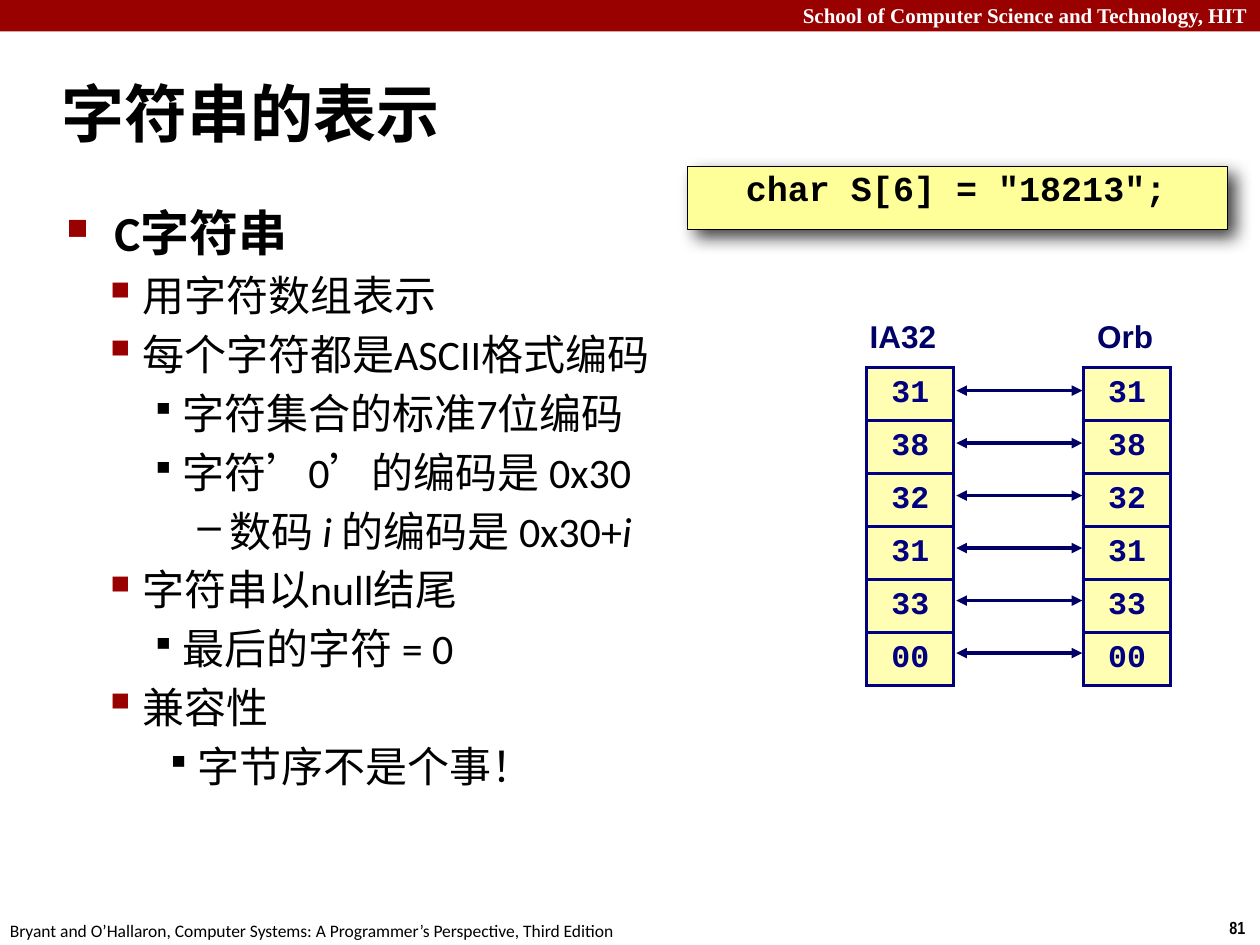
from lxml import etree
from pptx import Presentation
from pptx import util as u
from pptx.dml import color
from pptx.enum import shapes, text
from pptx.oxml import ns, parse_xml

RED, NAVY, CELL_NAVY = "990000", "000066", "000080"
HEADER = "School of Computer Science and Technology, HIT"
FOOTER = ("Bryant and O’Hallaron, Computer Systems: "
          "A Programmer’s Perspective, Third Edition")
# Outline level, then text runs; odd runs are italic
OUTLINE = [
    (0, ["C字符串"]),
    (1, ["用字符数组表示"]),
    (1, ["每个字符都是ASCII格式编码"]),
    (2, ["字符集合的标准7位编码"]),
    (2, ["字符’0’的编码是 0x30"]),
    (3, ["数码 ", "i ", "的编码是 0x30+", "i"]),
    (1, ["字符串以null结尾"]),
    (2, ["最后的字符 = 0"]),
    (1, ["兼容性"]),
    (4, ["字节序不是个事！"]),
]
# Left margin, hanging indent, bullet, bullet colour, bullet size %
LEVELS = [
    (0.38, -0.38, "■", RED, 60),
    (0.6, -0.31, "▪", RED, 110),
    (0.92, -0.25, "▪", "000000", 80),
    (1.29, -0.25, "–", "000000", 100),
    (1.04, -0.25, "▪", "000000", 80),
]
BYTES = ["31", "38", "32", "31", "33", "00"]
# Machine, label left, label width, table left
MACHINES = [("IA32", 6.84, 0.69, 6.88), ("Orb", 8.63, 0.64, 8.6)]
TABLE_TOP, CELL_WIDTH, ROW_HEIGHT = 2.92, 0.69, 2.5 / len(BYTES)
ALIGN = {"l": text.PP_ALIGN.LEFT, "c": text.PP_ALIGN.CENTER,
         "r": text.PP_ALIGN.RIGHT}


def rgb(value):
    return color.RGBColor.from_string(value)


def add_xml(parent, xml):
    parent.append(parse_xml(xml.replace(">", f" {ns.nsdecls('a')}>", 1)
                            if "/>" not in xml.split(">")[0] + ">"
                            else xml.replace("/>", f" {ns.nsdecls('a')}/>", 1)))


def write(para, words, size=18, font="Calibri", ink="000000", bold=False,
          italic=False, align="l", indent=None, before=None):
    para.alignment = ALIGN[align]
    if before is not None:
        para.space_before = u.Pt(before)
    if indent:
        props = para._p.get_or_add_pPr()
        props.set("marL", str(u.Inches(indent[0])))
        props.set("indent", str(u.Inches(indent[1])))
    span = para.add_run()
    span.text = words
    span.font.name, span.font.size = font, u.Pt(size)
    span.font.bold, span.font.italic = bold, italic
    span.font.color.rgb = rgb(ink)


def set_frame(frame, insets=(0.1, 0.05, 0.1, 0.05), wrap=True, middle=False):
    (frame.margin_left, frame.margin_top,
     frame.margin_right, frame.margin_bottom) = map(u.Inches, insets)
    frame.word_wrap = wrap
    frame.vertical_anchor = (text.MSO_ANCHOR.MIDDLE if middle
                             else text.MSO_ANCHOR.TOP)
    return frame


def add_text(place, words="", insets=(0.1, 0.05, 0.1, 0.05), wrap=True,
             middle=False, **style):
    box = page.shapes.add_textbox(*map(u.Inches, place))
    frame = set_frame(box.text_frame, insets, wrap, middle)
    if words:
        write(frame.paragraphs[0], words, **style)
    return frame


def add_box(place, fill):
    box = page.shapes.add_shape(shapes.MSO_SHAPE.RECTANGLE,
                                *map(u.Inches, place))
    box.shadow.inherit = False
    box.fill.solid()
    box.fill.fore_color.rgb = rgb(fill)
    box.line.fill.background()
    return box


def add_arrow(left, right, y):
    arrow = page.shapes.add_connector(
        shapes.MSO_CONNECTOR.STRAIGHT, *map(u.Inches, (left, y, right, y)))
    arrow.line.color.rgb, arrow.line.width = rgb(NAVY), u.Pt(2)
    for end in ("headEnd", "tailEnd"):
        add_xml(arrow.line._get_or_add_ln(), f'<a:{end} type="triangle"/>')
    etree.SubElement(arrow._element.spPr, ns.qn("a:effectLst"))


def add_byte_table(left):
    table = page.shapes.add_table(
        len(BYTES), 1, *map(u.Inches, (left, TABLE_TOP, CELL_WIDTH, 2.5))).table
    table.first_row = table.horz_banding = False
    for row, value in zip(table.rows, BYTES):
        row.height = u.Inches(ROW_HEIGHT)
        cell = row.cells[0]
        (cell.margin_left, cell.margin_top,
         cell.margin_right, cell.margin_bottom) = [u.Inches(0.06)] * 4
        cell.vertical_anchor = text.MSO_ANCHOR.MIDDLE
        write(cell.text_frame.paragraphs[0], value, font="Courier New",
              ink=CELL_NAVY, bold=True, align="c")
        # Borders come before the fill in the cell properties
        for side in "LRTB":
            add_xml(cell._tc.get_or_add_tcPr(),
                    f'<a:ln{side} w="{u.Pt(2)}"><a:solidFill><a:srgbClr '
                    f'val="{CELL_NAVY}"/></a:solidFill></a:ln{side}>')
        cell.fill.solid()
        cell.fill.fore_color.rgb = rgb("FFFEB2")


deck = Presentation()
deck.slide_width, deck.slide_height = u.Inches(10), u.Inches(7.5)
page = deck.slides.add_slide(deck.slide_layouts[6])

# Header band and footer
add_box((0, 0, 10, 0.25), RED)
add_text((0, -0.03, 10, 0.3), HEADER, size=12, font="Times New Roman",
         ink="FFFFFF", bold=True, align="r")
add_text((9.66, 7.23, 0.34, 0.27), "81", wrap=False, size=10,
         font="Arial Narrow", bold=True)
add_text((-0.02, 7.25, 5.08, 0.27), FOOTER, wrap=False, size=10)

# Code declaration
code = add_box((5.46, 1.32, 4.28, 0.5), "FFFF99")
code.line.color.rgb, code.line.width = rgb("000000"), u.Pt(0.5)
effects = code._element.spPr.find(ns.qn("a:effectLst"))
code._element.spPr.append(effects)
add_xml(effects, f'<a:outerShdw blurRad="{u.Pt(10)}" dist="{u.Pt(6)}" '
        'dir="2700000" algn="tl" rotWithShape="0"><a:srgbClr val="000000">'
        '<a:alpha val="75000"/></a:srgbClr></a:outerShdw>')
code_line = set_frame(code.text_frame, (0.03, 0.03, 0.07, 0.03)).paragraphs[0]
code_line.line_spacing = 0.95
write(code_line, 'char S[6] = "18213";', size=20, font="Courier New",
      bold=True, align="c", indent=(0.44, -0.42), before=11.5)

# Title and outline
add_text((0.39, 0.48, 9.61, 0.83), "字符串的表示", middle=True, size=36,
         bold=True, indent=(0.13, -0.13))
outline = add_text((0.43, 1.56, 8.64, 5.44))
for number, (level, runs) in enumerate(OUTLINE):
    para = outline.add_paragraph() if number else outline.paragraphs[0]
    margin, hanging, bullet, ink, percent = LEVELS[level]
    size = 24 if level else 28
    for index, words in enumerate(runs):
        write(para, words, size=size, bold=level == 0, italic=index % 2 == 1,
              indent=(margin, hanging), before=size * 0.2)
    props = para._p.get_or_add_pPr()
    add_xml(props, f'<a:buClr><a:srgbClr val="{ink}"/></a:buClr>')
    add_xml(props, f'<a:buSzPct val="{percent * 1000}"/>')
    add_xml(props, f'<a:buChar char="{bullet}"/>')

# Byte layout on both machines
for row in range(len(BYTES)):
    add_arrow(7.59, 8.59, 3.1 + row * ROW_HEIGHT)
for name, label_left, label_width, table_left in MACHINES:
    add_text((label_left, 2.46, label_width, 0.42), name,
             insets=(0.06, 0.06, 0.1, 0.06), wrap=False, font="Arial",
             ink=NAVY, bold=True, align="c")
    add_byte_table(table_left)

deck.save("out.pptx")
